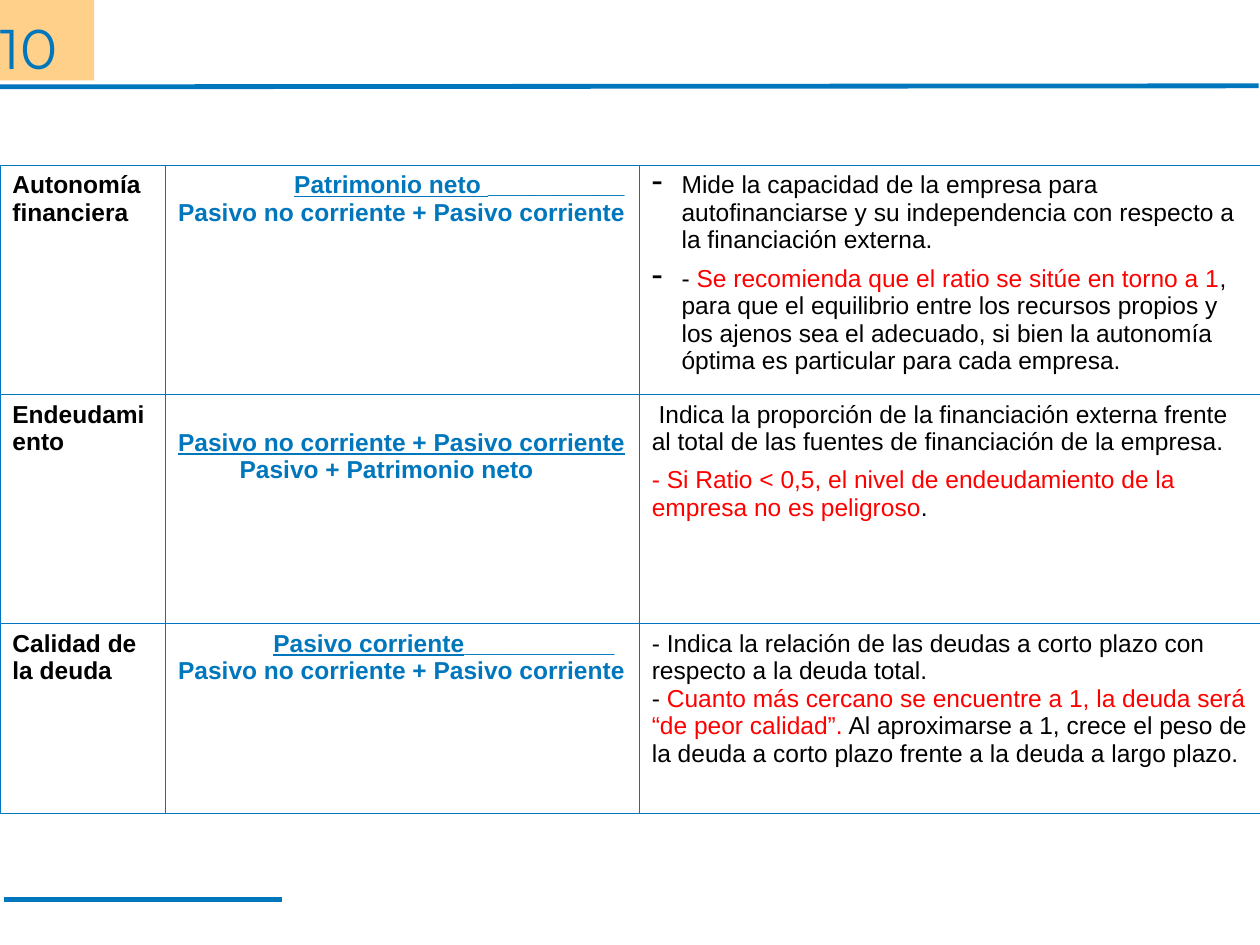
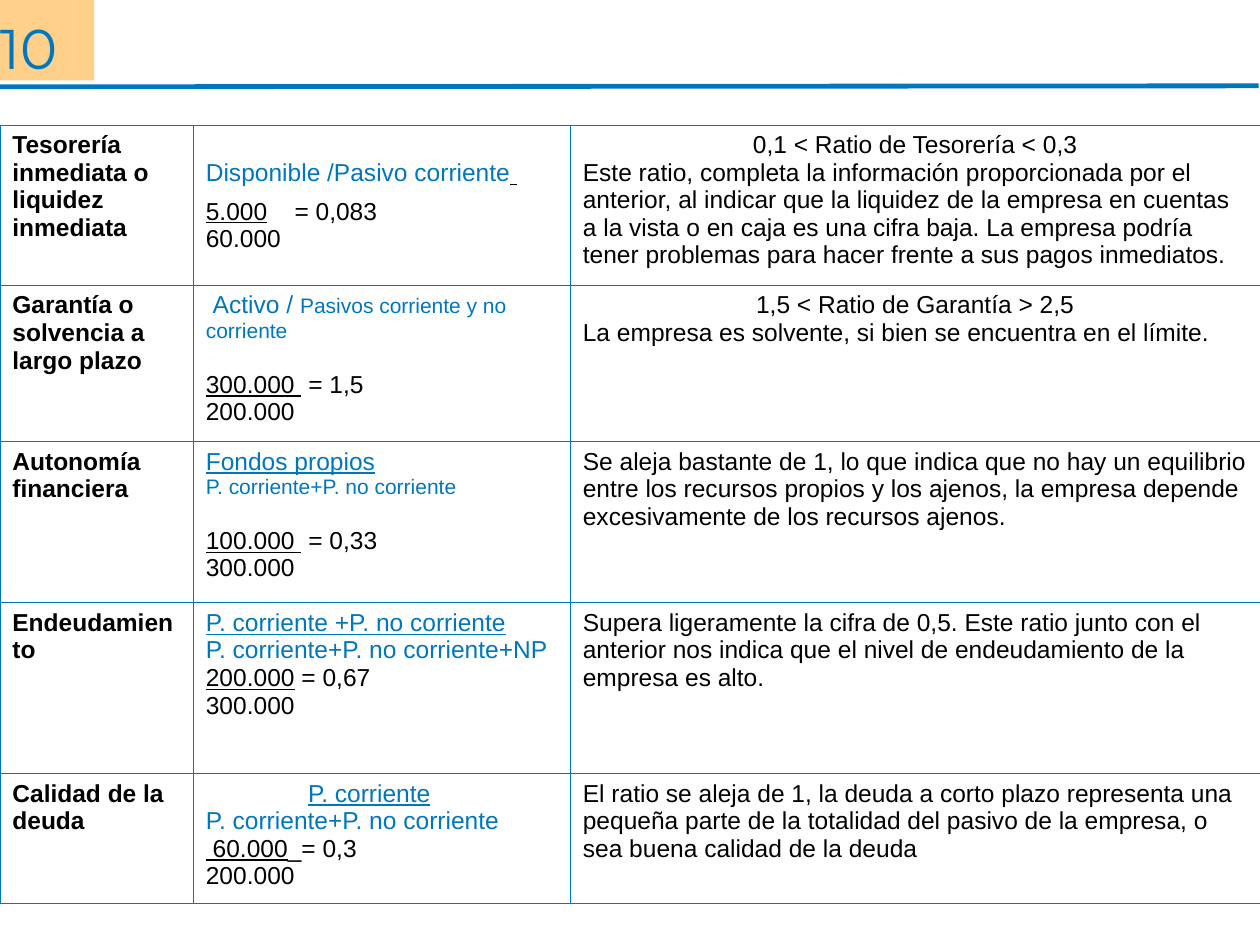
from dataclasses import dataclass

from lxml import etree
from pptx import Presentation
from pptx import util as u
from pptx.dml.color import RGBColor
from pptx.enum import shapes, text
from pptx.oxml import ns


@dataclass(frozen=True)
class Theme:
    """Colours, fonts and type sizes shared by the slides."""
    blue: str = "0077BD"
    black: str = "000000"
    red: str = "FF0000"
    white: str = "FFFFFF"
    orange: str = "FF9900"
    body_font: str = "Arial"
    number_font: str = "Montserrat"
    body: float = 14
    small: float = 12
    number: float = 32
    rule: float = 2.75
    border: float = 0.45
    gap: float = 6
    blank_line: float = 16.1


THEME = Theme()
BOLD = {"bold": True}
UNDERLINE = {"underline": True}
RED = {"color": THEME.red}
BLUE = {"color": THEME.blue}
SMALL_BLUE = {**BLUE, "size": THEME.small}
BLUE_UNDERLINE = {**BLUE, **UNDERLINE}
BLUE_BOLD = {**BLUE, **BOLD}
BLUE_BOLD_UNDERLINE = {**BLUE_BOLD, **UNDERLINE}


def child(parent, tag, **attributes):
    """Append a DrawingML element to parent and return it."""
    return etree.SubElement(parent, ns.qn(f"a:{tag}"), attributes)


def colored(parent, color):
    """Append a solid fill to a line element."""
    child(child(parent, "solidFill"), "srgbClr", val=color)


def add_text(paragraph, content, size=THEME.body, color=THEME.black,
             font=THEME.body_font, bold=False, underline=False):
    """Append one formatted run to a paragraph."""
    run = paragraph.add_run()
    run.text = content
    run.font.name = font
    run.font.size = u.Pt(size)
    run.font.bold = bold
    run.font.underline = underline
    run.font.color.rgb = RGBColor.from_string(color)


def line(*runs, **layout):
    """Describe a paragraph by its runs and its layout."""
    return runs, layout


def fraction(top, result, bottom, before=0, tab=None):
    """Describe an underlined numerator with its result over a denominator."""
    return [line((top, UNDERLINE), result, before=before, tab=tab), line(bottom)]


def fill_paragraph(paragraph, runs, before=0, after=0, indent=0, tab=None,
                   bullet=False, centred=False):
    """Lay out a paragraph and write its runs."""
    properties = paragraph._p.get_or_add_pPr()
    if bullet:
        hanging = u.Cm(0.6)
        properties.set("marL", str(hanging))
        properties.set("indent", str(-hanging))
        child(child(properties, "buClr"), "srgbClr", val=THEME.black)
        child(properties, "buSzPct", val="130000")
        child(properties, "buChar", char="-")
    elif indent:
        properties.set("marL", str(u.Cm(indent)))
        properties.set("indent", "0")
    if tab:
        child(child(properties, "tabLst"), "tab", pos=str(u.Cm(tab)), algn="l")
    paragraph.alignment = text.PP_ALIGN.CENTER if centred else text.PP_ALIGN.LEFT
    paragraph.space_before = u.Pt(before)
    paragraph.space_after = u.Pt(after)
    for run in runs:
        content, style = (run, {}) if isinstance(run, str) else run
        add_text(paragraph, content, **style)


def fill_cell(cell, lines, lowered=False):
    """Write lines into a white cell with thin blue borders."""
    properties = cell._tc.get_or_add_tcPr()
    for side in ("lnL", "lnR", "lnT", "lnB"):
        colored(child(properties, side, w=str(u.Pt(THEME.border))), THEME.blue)
    cell.fill.solid()
    cell.fill.fore_color.rgb = RGBColor.from_string(THEME.white)
    cell.margin_left = cell.margin_right = u.Cm(0.25)
    cell.margin_top = u.Cm(0.7 if lowered else 0.13)
    cell.margin_bottom = u.Cm(0.13)
    frame = cell.text_frame
    for index, (runs, layout) in enumerate(lines):
        paragraph = frame.add_paragraph() if index else frame.paragraphs[0]
        fill_paragraph(paragraph, runs, **layout)


def add_ratio_table(slide, top, widths, heights, ratios, lowered_rows):
    """Add a table of ratio names, formulas and comments."""
    table = slide.shapes.add_table(
        len(heights), len(widths), u.Cm(0), u.Cm(top),
        u.Cm(sum(widths)), u.Cm(sum(heights))).table
    table.first_row = table.horz_banding = False
    for column, width in zip(table.columns, widths):
        column.width = u.Cm(width)
    for index, (row, height, ratio) in enumerate(zip(table.rows, heights, ratios)):
        row.height = u.Cm(height)
        name, formula, comment = ratio
        fill_cell(row.cells[0], [line((name, BOLD))])
        fill_cell(row.cells[1], formula, lowered=index in lowered_rows)
        fill_cell(row.cells[2], comment)


def add_rule(slide, start, end):
    """Add a blue rule between two points."""
    rule = slide.shapes.add_connector(
        shapes.MSO_CONNECTOR.STRAIGHT, *map(u.Cm, start + end))
    rule.line.color.rgb = RGBColor.from_string(THEME.blue)
    rule.line.width = u.Pt(THEME.rule)
    child(rule._element.spPr, "effectLst")


def add_unit_badge(slide, number):
    """Add the translucent corner badge with the unit number."""
    badge = slide.shapes.add_shape(
        shapes.MSO_SHAPE.RECTANGLE, u.Cm(0), u.Cm(0), u.Cm(1.9), u.Cm(1.62))
    badge.shadow.inherit = False
    badge.line.fill.background()
    badge.fill.solid()
    badge.fill.fore_color.rgb = RGBColor.from_string(THEME.orange)
    fill_color = badge._element.spPr.find(ns.qn("a:solidFill"))[0]
    child(fill_color, "alpha", val="46000")
    frame = badge.text_frame
    frame.margin_left = frame.margin_right = u.Cm(0)
    frame.margin_top = frame.margin_bottom = u.Cm(0)
    frame.vertical_anchor = text.MSO_ANCHOR.TOP
    paragraph = frame.paragraphs[0]
    paragraph.alignment = text.PP_ALIGN.LEFT
    paragraph.line_spacing = 1.2
    add_text(paragraph, number, size=THEME.number, color=THEME.blue,
             font=THEME.number_font)


def add_unit_slide(presentation):
    """Add a blank slide with the shared rules and badge."""
    slide = presentation.slides.add_slide(presentation.slide_layouts[6])
    add_rule(slide, (-0.03, 1.75), (25.37, 1.73))
    add_unit_badge(slide, "10")
    add_rule(slide, (0.08, 18.14), (5.69, 18.14))
    return slide


def add_definitions(presentation):
    """Add the slide that defines the debt ratios."""
    liabilities = "Pasivo no corriente + Pasivo corriente"
    ratios = [
        ("Autonomía financiera",
         [line(("\t", UNDERLINE), ("Patrimonio neto ", BLUE_BOLD_UNDERLINE),
               ("__________", BLUE_BOLD), tab=2.34),
          line((liabilities, BLUE_BOLD))],
         [line("Mide la capacidad de la empresa para autofinanciarse y su "
               "independencia con respecto a la financiación externa.",
               bullet=True, after=THEME.gap),
          line("- ", ("Se recomienda que el ratio se sitúe en torno a 1", RED),
               ", para que el equilibrio entre los recursos propios y los ajenos "
               "sea el adecuado, si bien la autonomía óptima es particular para "
               "cada empresa.", bullet=True)]),
        ("Endeudamiento",
         [line((liabilities, BLUE_BOLD_UNDERLINE)),
          line(("Pasivo + Patrimonio neto", BLUE_BOLD), indent=1.24)],
         [line(" Indica la proporción de la financiación externa frente al total "
               "de las fuentes de financiación de la empresa.", after=THEME.gap),
          line(("- Si Ratio < 0,5, el nivel de endeudamiento de la empresa no es "
                "peligroso", RED), ".")]),
        ("Calidad de la deuda",
         [line(("\t", UNDERLINE), ("Pasivo corriente", BLUE_BOLD_UNDERLINE),
               ("___________", BLUE_BOLD), tab=1.92),
          line((liabilities, BLUE_BOLD))],
         [line("- Indica la relación de las deudas a corto plazo con respecto a la "
               "deuda total."),
          line("- ", ("Cuanto más cercano se encuentre a 1, la deuda será “de peor "
                      "calidad”.", RED),
               " Al aproximarse a 1, crece el peso de la deuda a corto plazo frente "
               "a la deuda a largo plazo.")]),
    ]
    add_ratio_table(add_unit_slide(presentation), 3.33, (3.34, 9.55, 12.51),
                    (4.62, 4.62, 3.82), ratios, lowered_rows={1})


def add_worked_example(presentation):
    """Add the slide that calculates and interprets the ratios."""
    liabilities = "P. corriente+P. no corriente"
    ratios = [
        ("Tesorería inmediata o liquidez inmediata",
         [line(("Disponible /Pasivo corriente", BLUE), (" ", UNDERLINE),
               after=THEME.gap),
          *fraction("5.000\t", " = 0,083", "60.000", tab=1.65)],
         [line("0,1 < Ratio de Tesorería < 0,3", centred=True),
          line("Este ratio, completa la información proporcionada por el anterior, "
               "al indicar que la liquidez de la empresa en cuentas a la vista o en "
               "caja es una cifra baja. La empresa podría tener problemas para hacer "
               "frente a sus pagos inmediatos.")]),
        ("Garantía o solvencia a largo plazo",
         [line(" ", ("Activo / ", BLUE),
               ("Pasivos corriente y no corriente", SMALL_BLUE)),
          *fraction("300.000 ", " = 1,5", "200.000", before=THEME.blank_line)],
         [line("1,5 < Ratio de Garantía > 2,5", centred=True),
          line("La empresa es solvente, si bien se encuentra en el límite.")]),
        ("Autonomía financiera",
         [line(("Fondos propios", BLUE_UNDERLINE)),
          line((liabilities, SMALL_BLUE)),
          *fraction("100.000 ", " = 0,33", "300.000", before=THEME.blank_line)],
         [line("Se aleja bastante de 1, lo que indica que no hay un equilibrio entre "
               "los recursos propios y los ajenos, la empresa depende excesivamente "
               "de los recursos ajenos.")]),
        ("Endeudamiento",
         [line(("P. corriente +P. no corriente", BLUE_UNDERLINE)),
          line((liabilities + "+NP", BLUE)),
          *fraction("200.000", " = 0,67", "300.000")],
         [line("Supera ligeramente la cifra de 0,5. Este ratio junto con el anterior "
               "nos indica que el nivel de endeudamiento de la empresa es alto.")]),
        ("Calidad de la deuda",
         [line(("P. corriente", BLUE_UNDERLINE), indent=2.06),
          line((liabilities, BLUE)),
          *fraction(" 60.000", "_= 0,3", "200.000")],
         [line("El ratio se aleja de 1, la deuda a corto plazo representa una pequeña "
               "parte de la totalidad del pasivo de la empresa, o sea buena calidad "
               "de la deuda")]),
    ]
    add_ratio_table(add_unit_slide(presentation), 2.52, (3.9, 7.6, 13.9),
                    (3.23, 3.15, 3.25, 3.44, 2.63), ratios, lowered_rows={0})


def main():
    """Build and save the presentation."""
    presentation = Presentation()
    presentation.slide_width = u.Cm(25.4)
    presentation.slide_height = u.Cm(19.05)
    add_definitions(presentation)
    add_worked_example(presentation)
    presentation.save("out.pptx")


if __name__ == "__main__":
    main()
